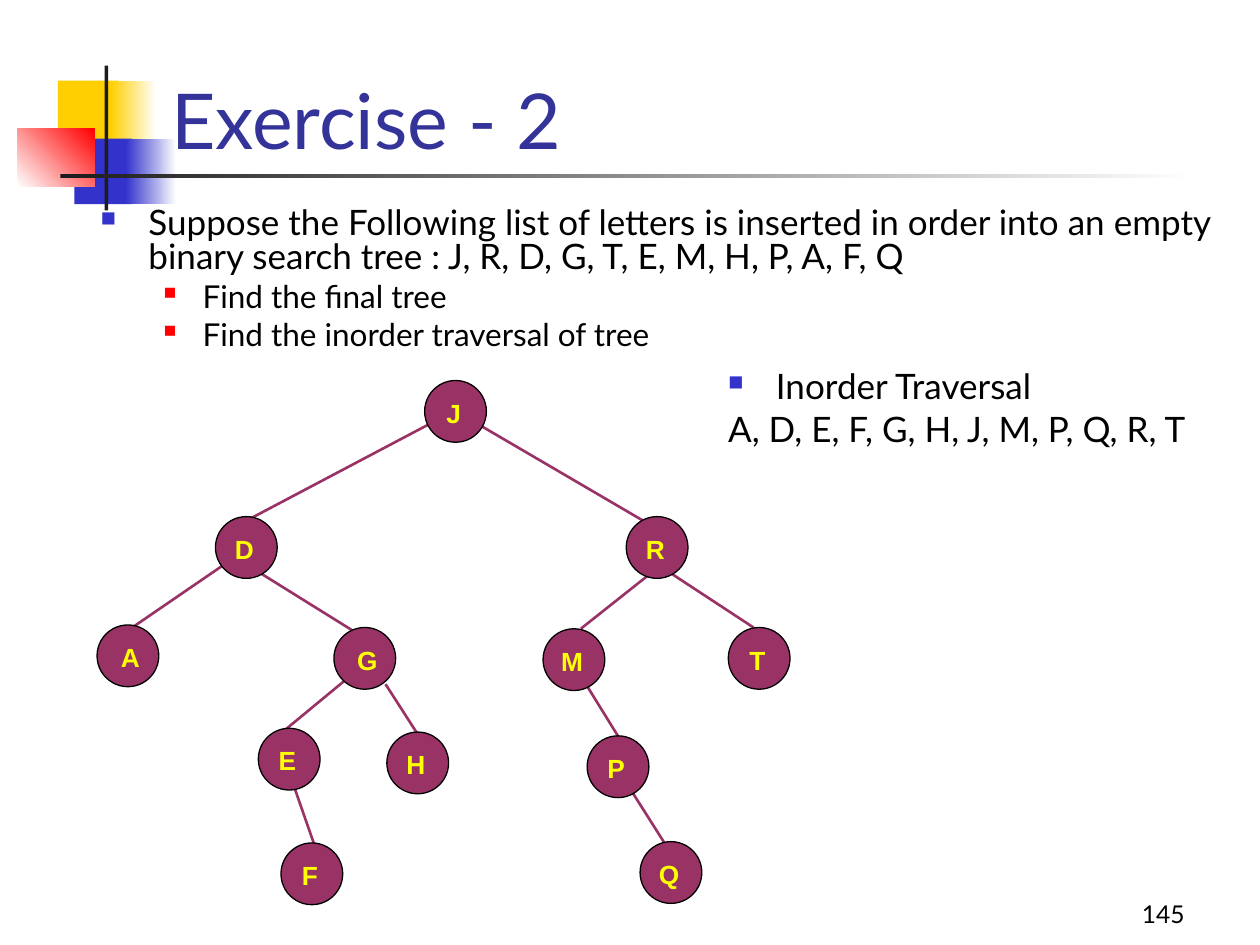
from lxml.etree import SubElement as Sub
from pptx import Presentation
from pptx.dml.color import RGBColor as Rgb
from pptx.enum.shapes import MSO_CONNECTOR as Link, MSO_SHAPE as Kind
from pptx.enum.text import MSO_ANCHOR as Anchor, PP_ALIGN as Align
from pptx.oxml.ns import qn
from pptx.util import Inches, Pt

COLS, ROWS = 100, 75
CELL = Inches(10) / COLS
BODY = {"name": "Lato", "size": Pt(20), "color": "000000"}
SUB = BODY | {"size": Pt(18)}
TITLE = BODY | {"size": Pt(44), "color": "333399"}
PAGE = BODY | {"size": Pt(14)}
LETTER = {"name": "Arial", "size": Pt(15), "bold": True, "color": "FFFF00"}
FLAT = {"margin_left": 0, "margin_right": 0,
        "margin_top": Inches(0.06), "margin_bottom": Inches(0.06)}
TOP = {"left": 3.8, "dent": -3.8, "space_before": Pt(5), "line_spacing": 0.8}
LOW = {"left": 8.1, "dent": -3.1, "space_before": Pt(4.5), "line_spacing": 0.8}
BLUE, RED = ("3333CC", 60), ("FF0000", 55)
PLUM = "993366"
NODE = 4.9

BLOCKS = [
    (3.2, 1.2, 4.8, 5.2, ["FFCF01"], 0),
    (7.4, 1.2, 3.6, 5.2, ["FFCF01", "FFFFFF"], 0),
    (4.5, 5.8, 4.6, 5.2, ["3333CC"], 0),
    (8.6, 5.8, 4, 5.2, ["3333CC", "FFFFFF"], 0),
    (0, 5, 6.1, 4.6, ["FFFFFF", "FF0000"], 45),
    (6.9, 0, 0.3, 11.5, ["1C1C1C"], 0),
    (3.4, 8.6, 90, 0.3, ["1C1C1C", "FFFFFF"], 0),
]
NODES = {
    "J": (26, 0), "D": (9.4, 10.8), "R": (42, 10.8), "A": (0, 19.4),
    "G": (18.8, 19.6), "M": (35.4, 19.7), "T": (50.1, 19.6),
    "E": (12.8, 27.6), "H": (23, 27.9), "P": (38.9, 28.2),
    "F": (14.6, 36.7), "Q": (43.1, 36.6),
}
EDGES = [
    (26.3, 3.5, 11.9, 11.1), (30.3, 3.5, 43.3, 11.1),
    (10.1, 14.6, 2.8, 19.6), (12.5, 15, 20.7, 20.1),
    (43.7, 15.5, 38.4, 19.7), (45.7, 15.4, 52.1, 19.6),
    (19.8, 23.7, 14.6, 28), (22.9, 24.1, 25.6, 28.3),
    (38.8, 24.1, 41.4, 28.3), (15.7, 32.4, 17.3, 37),
    (42.5, 32.7, 45.1, 36.8),
]


def grid(*cells):
    """Turn grid cells into slide lengths."""
    return [round(c * CELL) for c in cells]


def tint(text):
    """Turn a hex string into a colour."""
    return Rgb.from_string(text)


def put(item, form):
    """Set attributes of an item from a dict."""
    for key, val in form.items():
        setattr(item, key, val)


def shape(slide, kind, box, hues, turn=0):
    """Add a shape with a plain or graded fill and no line."""
    part = slide.shapes.add_shape(kind, *grid(*box))
    part.shadow.inherit = False
    part.line.fill.background()
    if len(hues) == 1:
        part.fill.solid()
        part.fill.fore_color.rgb = tint(hues[0])
        return part
    part.fill.gradient()
    part.fill.gradient_angle = turn
    for stop, hue in zip(part.fill.gradient_stops, hues):
        stop.color.rgb = tint(hue)
    return part


def write(para, text, font):
    """Add a styled run to a paragraph."""
    run = para.add_run()
    run.text = text
    put(run.font, {k: v for k, v in font.items() if k != "color"})
    run.font.color.rgb = tint(font["color"])


def label(slide, box, text, font, align=Align.LEFT, **frame):
    """Add a text box with a single line."""
    area = slide.shapes.add_textbox(*grid(*box)).text_frame
    put(area, {"word_wrap": True} | frame)
    area.paragraphs[0].alignment = align
    write(area.paragraphs[0], text, font)


def points(slide, box, items):
    """Add a text box of indented points with optional bullets."""
    area = slide.shapes.add_textbox(*grid(*box)).text_frame
    area.word_wrap = True
    for rank, (text, font, form, mark) in enumerate(items):
        para = area.add_paragraph() if rank else area.paragraphs[0]
        props = para._p.get_or_add_pPr()
        left, dent = grid(form["left"], form["dent"])
        props.set("marL", str(left))
        props.set("indent", str(dent))
        if mark:
            hue, size = mark
            Sub(Sub(props, qn("a:buClr")), qn("a:srgbClr"), val=hue)
            Sub(props, qn("a:buSzPct"), val=str(size * 1000))
            Sub(props, qn("a:buChar"), char="■")
        skip = ("left", "dent") if rank else ("left", "dent", "space_before")
        put(para, {k: v for k, v in form.items() if k not in skip})
        write(para, text, font)


def badge(slide, x, y):
    """Draw the coloured blocks and rules beside the title."""
    for dx, dy, wide, high, hues, turn in BLOCKS:
        shape(slide, Kind.RECTANGLE, (x + dx, y + dy, wide, high), hues, turn)


def edge(slide, ends):
    """Draw one branch of the tree."""
    line = slide.shapes.add_connector(Link.STRAIGHT, *grid(*ends))
    line.line.color.rgb = tint(PLUM)
    line.line.width = Pt(1.5)
    Sub(line._element.spPr, qn("a:effectLst"))


def tree(slide, x, y):
    """Draw the search tree from its top left corner."""
    for ax, ay, bx, by in EDGES:
        edge(slide, (x + ax, y + ay, x + bx, y + by))
    for name, (dx, dy) in NODES.items():
        left, top = x + dx, y + dy
        disc = shape(slide, Kind.FLOWCHART_CONNECTOR,
                     (left, top, NODE, NODE), [PLUM])
        disc.line.color.rgb = tint("000000")
        disc.line.width = Pt(0.75)
        shift = 0.7 if name in "AG" else 0.35
        label(slide, (left + shift, top + 0.7, 3.9, 3.6), name, LETTER,
              Align.CENTER, **FLAT)


def main():
    """Build and save the slide."""
    deck = Presentation()
    deck.slide_width, deck.slide_height = grid(COLS, ROWS)
    slide = deck.slides.add_slide(deck.slide_layouts[6])
    badge(slide, 1.4, 5.2)
    label(slide, (74.2, 69.2, 20.8, 5), "145", PAGE, Align.RIGHT,
          vertical_anchor=Anchor.BOTTOM)
    label(slide, (12.6, 1.1, 85.2, 12.5), "Exercise - 2", TITLE,
          vertical_anchor=Anchor.BOTTOM)
    points(slide, (7, 16.1, 90.9, 14.7), [
        ("Suppose the Following list of letters is inserted in order into an "
         "empty binary search tree : J, R, D, G, T, E, M, H, P, A, F, Q",
         BODY, TOP, BLUE),
        ("Find the final tree", SUB, LOW, RED),
        ("Find the inorder traversal of tree", SUB, LOW, RED),
    ])
    tree(slide, 7.7, 30.2)
    points(slide, (56.8, 29.1, 43.2, 8.8), [
        ("Inorder Traversal", BODY, TOP, BLUE),
        ("A, D, E, F, G, H, J, M, P, Q, R, T", BODY, TOP, None),
    ])
    deck.save("out.pptx")


if __name__ == "__main__":
    main()
